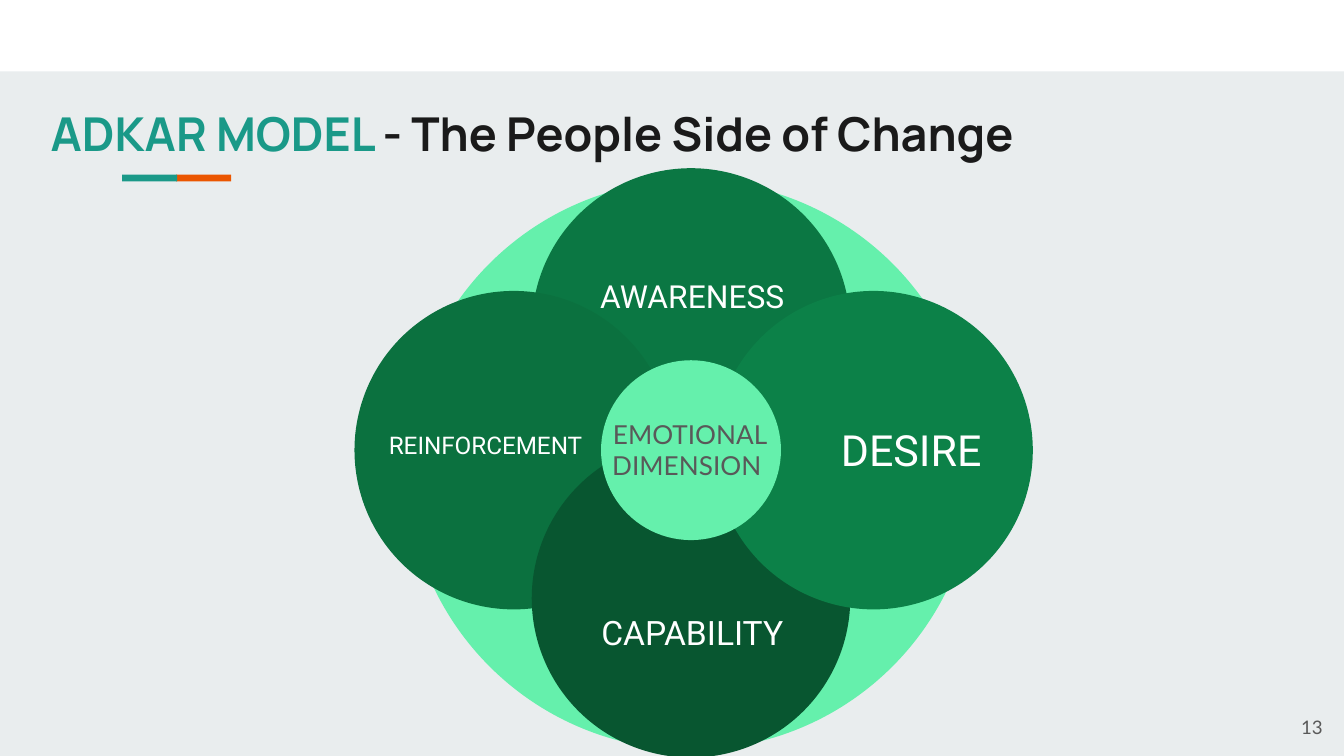
"""Build the ADKAR model slide with overlapping circles around an emotional core."""
import pptx
import pptx.dml.color
import pptx.enum.shapes
import pptx.enum.text
import pptx.util

Cm = pptx.util.Cm
Align = pptx.enum.text.PP_ALIGN
Anchor = pptx.enum.text.MSO_ANCHOR
Preset = pptx.enum.shapes.MSO_SHAPE

THEME = {
    "color": {
        "background": "E9EDEE", "band": "FFFFFF", "teal": "1A9988", "orange": "EB5600",
        "ink": "1A1A1A", "gray": "595959", "white": "FFFFFF", "mint": "65F0AC",
        "awareness": "0B7743", "reinforcement": "0B713F",
        "capability": "085630", "desire": "0C8148",
    },
    "size": {
        "title": 25, "number": 10, "core": 14, "awareness": 17,
        "reinforcement": 13, "capability": 18, "desire": 23,
    },
    "font": {"title": "Manrope", "body": "Lato", "label": "Roboto"},
}

SLIDE_SIZE = (25.4, 14.29)
INSET = 0.25
CENTER = (13.06, 8.51)
BACKDROP = {"center": (13.06, 8.79), "diameter": 10.77}
STAGE_DIAMETER = 6.02
CORE_DIAMETER = 3.4

BAND = (0, 0, 25.4, 1.35)
ACCENTS = [("teal", 2.31), ("orange", 3.33)]
ACCENT_TOP, ACCENT_WIDTH, ACCENT_HEIGHT = 3.3, 1.04, 0.13

TITLE = [("ADKAR MODEL ", "teal"), ("- The People Side of Change", "ink")]
TITLE_BOX = (0.71, 1.73, 21.36, 1.68)
NUMBER = "13"
NUMBER_BOX = (24.31, 13.28, 0.94, 0.94)
CORE_LINES = ["EMOTIONAL", "DIMENSION "]
CORE_BOX = (11.23, 7.65, 3.63, 2.31)

STAGES = [
    {"name": "AWARENESS", "offset": (0, -2.32), "label": (11, 4.62, 4.17, 1.93)},
    {"name": "REINFORCEMENT", "offset": (-3.35, 0), "label": (7.04, 7.59, 4.27, 1.63)},
    {"name": "CAPABILITY", "offset": (0, 2.8), "label": (11, 11.3, 4.17, 1.3)},
    {"name": "DESIRE", "offset": (3.45, 0), "label": (15.14, 7.75, 4.17, 1.5)},
]


def color(name):
    return pptx.dml.color.RGBColor.from_string(THEME["color"][name])


def add_filled(slide, preset, box, fill):
    shape = slide.shapes.add_shape(preset, *map(Cm, box))
    shape.shadow.inherit = False
    shape.fill.solid()
    shape.fill.fore_color.rgb = color(fill)
    shape.line.fill.background()


def add_circle(slide, center, diameter, fill):
    left, top = (middle - diameter / 2 for middle in center)
    add_filled(slide, Preset.OVAL, (left, top, diameter, diameter), fill)


def add_text(slide, box, lines, font, size, align=Align.CENTER,
             anchor=Anchor.MIDDLE, wrap=True, bold=False):
    frame = slide.shapes.add_textbox(*map(Cm, box)).text_frame
    frame_format = {"word_wrap": wrap, "vertical_anchor": anchor}
    for side in ("left", "top", "right", "bottom"):
        frame_format[f"margin_{side}"] = Cm(INSET)
    for name, value in frame_format.items():
        setattr(frame, name, value)
    font_format = {
        "name": THEME["font"][font],
        "size": pptx.util.Pt(THEME["size"][size]),
        "bold": bold,
    }
    for index, line in enumerate(lines):
        paragraph = frame.add_paragraph() if index else frame.paragraphs[0]
        paragraph.alignment = align
        for text, fill in line:
            run = paragraph.add_run()
            run.text = text
            run.font.color.rgb = color(fill)
            for name, value in font_format.items():
                setattr(run.font, name, value)


def main():
    presentation = pptx.Presentation()
    presentation.slide_width, presentation.slide_height = map(Cm, SLIDE_SIZE)
    slide = presentation.slides.add_slide(presentation.slide_layouts[6])
    slide.background.fill.solid()
    slide.background.fill.fore_color.rgb = color("background")

    add_filled(slide, Preset.RECTANGLE, BAND, "band")
    for fill, left in reversed(ACCENTS):
        box = (left, ACCENT_TOP, ACCENT_WIDTH, ACCENT_HEIGHT)
        add_filled(slide, Preset.RECTANGLE, box, fill)
    add_text(slide, TITLE_BOX, [TITLE], "title", "title",
             align=Align.LEFT, anchor=Anchor.TOP, bold=True)
    add_text(slide, NUMBER_BOX, [[(NUMBER, "gray")]], "body", "number",
             align=Align.RIGHT, wrap=False)

    add_circle(slide, BACKDROP["center"], BACKDROP["diameter"], "mint")
    for stage in STAGES:
        key = stage["name"].lower()
        center = [middle + shift for middle, shift in zip(CENTER, stage["offset"])]
        add_circle(slide, center, STAGE_DIAMETER, key)
        add_text(slide, stage["label"], [[(stage["name"], "white")]], "label", key)
    add_circle(slide, CENTER, CORE_DIAMETER, "mint")
    add_text(slide, CORE_BOX, [[(line, "gray")] for line in CORE_LINES],
             "body", "core", anchor=Anchor.TOP)

    presentation.save("out.pptx")


if __name__ == "__main__":
    main()
